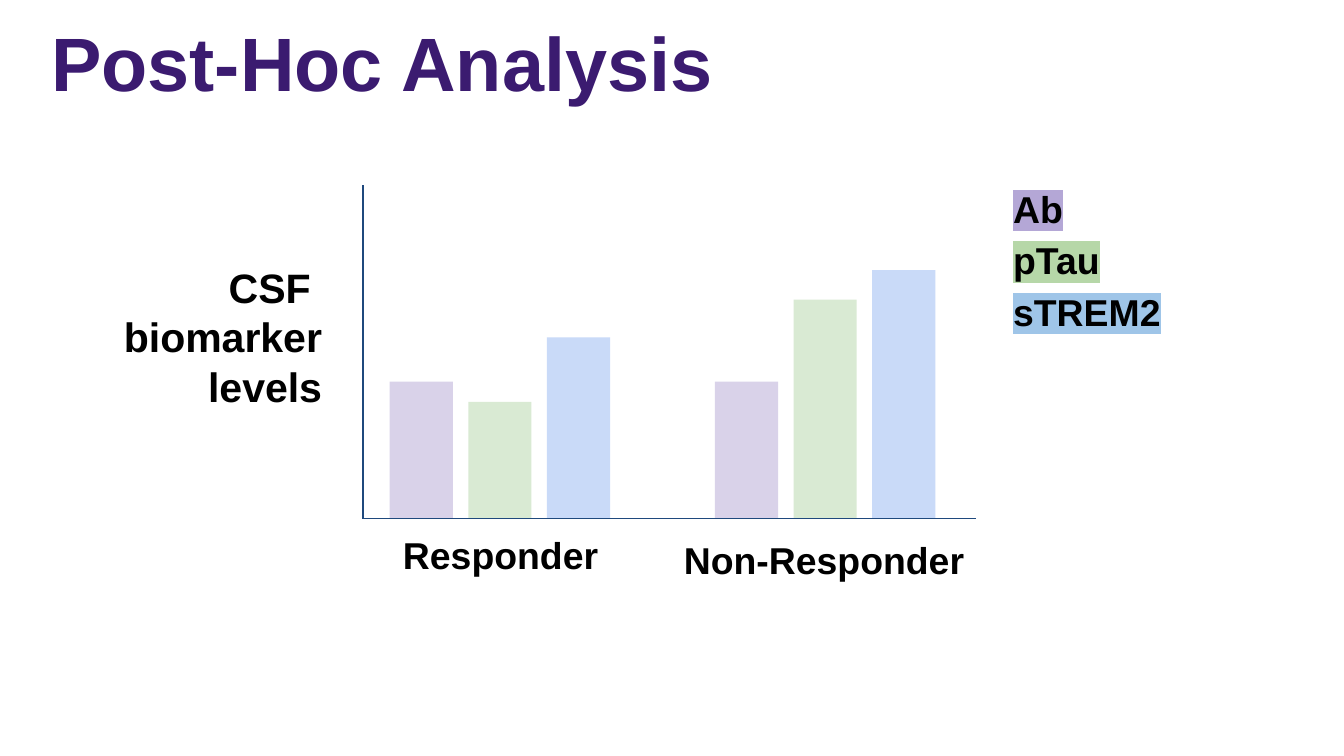
from typing import NamedTuple

from lxml import etree
from pptx import Presentation
from pptx.dml.color import RGBColor
from pptx.enum.shapes import MSO_CONNECTOR, MSO_SHAPE
from pptx.enum.text import MSO_ANCHOR, PP_ALIGN
from pptx.oxml.ns import qn
from pptx.util import Inches, Pt

LINE, RECT = MSO_CONNECTOR.STRAIGHT, MSO_SHAPE.RECTANGLE
LEFT, RIGHT = PP_ALIGN.LEFT, PP_ALIGN.RIGHT
TOP, MIDDLE = MSO_ANCHOR.TOP, MSO_ANCHOR.MIDDLE

# The slide is a 16:9 grid of square cells, 100 columns wide.
CELL = Inches(0.1)
COLS, ROWS = 100, 56.25
AXIS_X, AXIS_TOP, AXIS_END, BASE = 27, 13.8, 72.6, 38.6
BAR_W, BAR_STEP = 4.7, 5.85
FILLS = ("D9D2E9", "D9EAD3", "C9DAF8")


class Box(NamedTuple):
    x: float
    y: float
    w: float
    h: float


class Label(NamedTuple):
    box: Box
    lines: tuple[str, ...]
    size: float
    align: PP_ALIGN = LEFT
    pad: float = 0.5
    space: float = 1.0
    marks: tuple[str, ...] = ()


class Group(NamedTuple):
    x: float
    heights: tuple[float, ...]


TITLE = Label(Box(2.8, 0.65, 88.9, 7.8), ("Post-Hoc Analysis",), 40.5)
LABELS = (
    Label(Box(7.95, 19.05, 17, 12.1), ("CSF ", "biomarker", "levels"), 22, RIGHT),
    Label(Box(74.4, 12.85, 14.3, 12.1), ("Ab", "pTau", "sTREM2"), 20,
          space=1.15, marks=("B4A7D6", "B6D7A8", "9FC5E8")),
    Label(Box(29, 38.6, 16.9, 5.4), ("Responder",), 20, pad=1),
    Label(Box(49.9, 39, 23.6, 5.4), ("Non-Responder",), 20, pad=1),
)
GROUPS = (
    Group(29, (10.2, 8.7, 13.5)),
    Group(53.2, (10.2, 16.3, 18.5)),
)


def cells(*counts: float) -> list[int]:
    return [round(n * CELL) for n in counts]


def rgb(code: str) -> RGBColor:
    return RGBColor.from_string(code)


def apply(target, values: dict) -> None:
    for name, value in values.items():
        setattr(target, name, value)


def mark(run, code: str) -> None:
    """Highlight a run; the schema wants this right after its fill."""
    light = etree.Element(qn("a:highlight"))
    etree.SubElement(light, qn("a:srgbClr"), val=code)
    run.font.fill._xPr.find(qn("a:solidFill")).addnext(light)


def write(shape, label: Label, color: str, anchor: MSO_ANCHOR) -> None:
    frame = shape.text_frame
    side, edge = cells(1, label.pad)
    apply(frame, {"word_wrap": True, "vertical_anchor": anchor,
                  "margin_left": side, "margin_right": side,
                  "margin_top": edge, "margin_bottom": edge})
    frame.text = "\n".join(label.lines)
    for row, para in enumerate(frame.paragraphs):
        apply(para, {"alignment": label.align, "line_spacing": label.space})
        run = para.runs[0]
        apply(run.font, {"name": "Arial", "size": Pt(label.size), "bold": True})
        run.font.color.rgb = rgb(color)
        if label.marks:
            mark(run, label.marks[row])


def draw_axis(slide, x: float, y: float, to_x: float, to_y: float) -> None:
    axis = slide.shapes.add_connector(LINE, *cells(x, y, to_x, to_y))
    axis.line.color.rgb = rgb("1F497D")
    axis.line.width = Pt(0.75)
    etree.SubElement(axis._element.spPr, qn("a:effectLst"))


def draw_group(slide, group: Group) -> None:
    for col, (tall, code) in enumerate(zip(group.heights, FILLS)):
        box = Box(group.x + col * BAR_STEP, BASE - tall, BAR_W, tall)
        bar = slide.shapes.add_shape(RECT, *cells(*box))
        bar.shadow.inherit = False
        bar.fill.solid()
        bar.fill.fore_color.rgb = rgb(code)
        bar.line.fill.background()


def main() -> None:
    deck = Presentation()
    deck.slide_width, deck.slide_height = cells(COLS, ROWS)
    slide = deck.slides.add_slide(deck.slide_layouts.get_by_name("Title Only"))

    title = slide.shapes.title
    apply(title, dict(zip(("left", "top", "width", "height"), cells(*TITLE.box))))
    write(title, TITLE, "3B1B70", MIDDLE)

    draw_axis(slide, AXIS_X, AXIS_TOP, AXIS_X, BASE)
    for group in GROUPS:
        draw_group(slide, group)
    draw_axis(slide, AXIS_END, BASE, AXIS_X, BASE)

    for label in LABELS:
        write(slide.shapes.add_textbox(*cells(*label.box)), label, "000000", TOP)
    deck.save("out.pptx")


if __name__ == "__main__":
    main()
